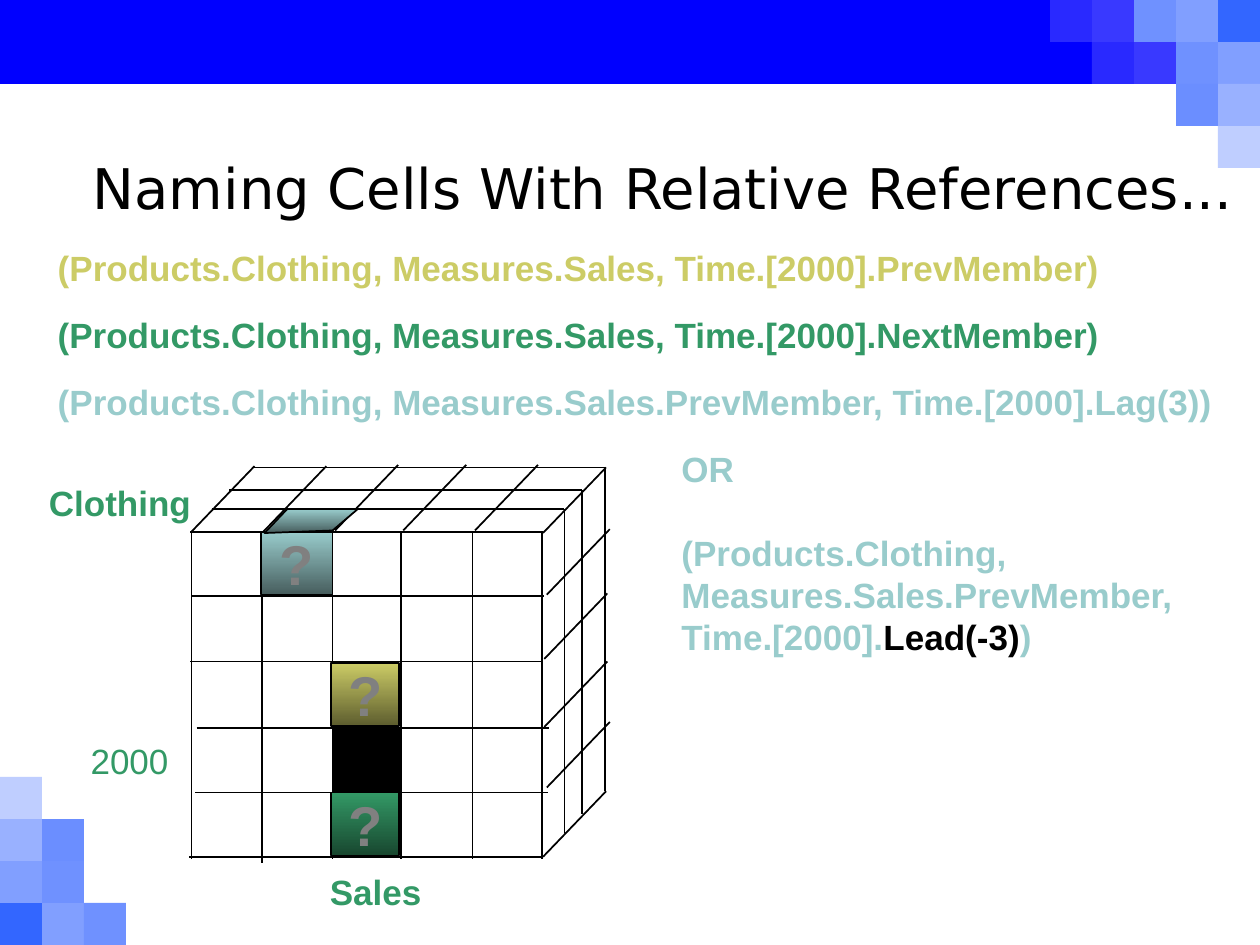
from dataclasses import dataclass

from lxml import etree
from pptx import Presentation
from pptx.dml.color import RGBColor
from pptx.enum.shapes import MSO_CONNECTOR, MSO_SHAPE
from pptx.enum.text import MSO_ANCHOR, MSO_AUTO_SIZE, PP_ALIGN
from pptx.oxml.ns import qn
from pptx.util import Inches, Pt

STRAIGHT = MSO_CONNECTOR.STRAIGHT
RECTANGLE = MSO_SHAPE.RECTANGLE
CENTER = PP_ALIGN.CENTER
MIDDLE = MSO_ANCHOR.MIDDLE
NO_FIT = MSO_AUTO_SIZE.NONE

WIDTH, HEIGHT = 10, 7.5
TILE = WIDTH / 30
TITLE_ONLY = 5


@dataclass(frozen=True)
class Theme:
    black: str = "000000"
    banner: str = "0000FF"
    question: str = "808080"
    green: str = "339966"
    teal: str = "99CCCC"
    olive: str = "CCCC66"
    green_fade: tuple = ("339966", "18472F")
    teal_fade: tuple = ("99CCCC", "475E5E")
    olive_fade: tuple = ("CCCC66", "5E5E2F")
    text_font: str = "Arial"
    title_font: str = "DejaVu Sans"
    text_size: int = 20
    large_size: int = 32
    line_pitch: int = 24


THEME = Theme()

# Corner tiles: columns and rows counted from the corner
CORNER_TILES = [
    (0, 0, "3366FF"), (1, 0, "819FFF"), (2, 0, "6F91FF"),
    (0, 1, "819FFF"), (1, 1, "6F91FF"),
    (0, 2, "99B1FF"), (1, 2, "6B8EFF"), (0, 3, "BFCEFF"),
]
BANNER_TILES = [(3, 0, "3939FF"), (2, 1, "3939FF"),
                (4, 0, "2929FF"), (3, 1, "2929FF")]

# Cube: the ends of its grid lines, in inches
FRONT_WIDTH, FRONT_HEIGHT = 2.8, 2.6
DEPTH_X, DEPTH_Y = 0.5, -0.52
SIDE_HEIGHT = 2.57
COLUMN_TOPS = [(1.52, 4.22), (2.08, 4.25), (2.64, 4.22),
               (3.18, 4.22), (3.75, 4.22), (4.3, 4.22)]
ROW_STARTS = [(1.51, 4.22), (1.52, 4.73), (1.51, 5.25),
              (1.56, 5.78), (1.55, 6.29), (1.5, 6.8)]
TOP_STARTS = [(1.52, 4.22), (2.09, 4.22), (2.66, 4.21),
              (3.2, 4.21), (3.77, 4.21), (4.31, 4.23)]
SIDE_STARTS = [(4.34, 4.72), (4.32, 5.23), (4.32, 5.77),
               (4.34, 6.25), (4.31, 6.8)]
LAYER_CORNERS = [(4.48, 4.04), (4.62, 3.89), (4.8, 3.71)]


def color(value):
    return RGBColor.from_string(value)


def style_font(font, value, size=THEME.text_size, name=THEME.text_font, bold=True):
    font.name, font.size, font.bold = name, Pt(size), bold
    font.color.rgb = color(value)


def paint(shape, fill, outline=None):
    """Fill with one colour, or from top to bottom with a pair of colours."""
    shape.shadow.inherit = False
    if isinstance(fill, tuple):
        shape.fill.gradient()
        shape.fill.gradient_angle = 270
        for stop, value in zip(shape.fill.gradient_stops, fill):
            stop.color.rgb = color(value)
    else:
        shape.fill.solid()
        shape.fill.fore_color.rgb = color(fill)
    if outline:
        shape.line.color.rgb = color(outline)
        shape.line.width = Pt(1)
    else:
        shape.line.fill.background()


def add_rectangle(page, left, top, width, height, fill, outline=None):
    box = page.shapes.add_shape(
        RECTANGLE, Inches(left), Inches(top), Inches(width), Inches(height))
    paint(box, fill, outline)
    return box


def add_line(page, start, run, rise):
    x, y = start
    line = page.shapes.add_connector(
        STRAIGHT, Inches(x), Inches(y), Inches(x + run), Inches(y + rise))
    line.line.color.rgb = color(THEME.black)
    line.line.width = Pt(1)
    etree.SubElement(line._element.spPr, qn("a:effectLst"))


def add_text(page, left, top, width, height, lines, value, bold=True, wrap=True):
    box = page.shapes.add_textbox(
        Inches(left), Inches(top), Inches(width), Inches(height))
    frame = box.text_frame
    frame.word_wrap = wrap
    for index, text in enumerate(lines):
        para = frame.paragraphs[0] if index == 0 else frame.add_paragraph()
        para.line_spacing = Pt(THEME.line_pitch)
        para.add_run().text = text
        style_font(para.font, value, bold=bold)
    return frame


def add_cell(page, left, top, width, fill):
    """One marked cell of the cube, holding a question mark."""
    cell = add_rectangle(page, left, top, width, 0.5, fill, THEME.black)
    frame = cell.text_frame
    frame.word_wrap = False
    frame.vertical_anchor = MIDDLE
    para = frame.paragraphs[0]
    para.text = "?"
    para.alignment = CENTER
    style_font(para.font, THEME.question, THEME.large_size)


def add_decoration(page):
    add_rectangle(page, 0, 0, WIDTH, 2 * TILE, THEME.banner)
    for column, row, fill in CORNER_TILES + BANNER_TILES:
        add_rectangle(page, WIDTH - (column + 1) * TILE, row * TILE, TILE, TILE, fill)
    for column, row, fill in CORNER_TILES:
        add_rectangle(page, column * TILE, HEIGHT - (row + 1) * TILE, TILE, TILE, fill)


def add_title(page, text):
    title = page.shapes.title
    title.left, title.top = Inches(0.17), Inches(1.17)
    title.width, title.height = Inches(10.19), Inches(0.63)
    frame = title.text_frame
    frame.auto_size = NO_FIT
    frame.vertical_anchor = MIDDLE
    frame.margin_left = frame.margin_right = frame.margin_top = frame.margin_bottom = 0
    para = frame.paragraphs[0]
    para.text = text
    para.alignment = CENTER
    style_font(para.font, THEME.black, THEME.large_size, THEME.title_font, False)


def add_cube(page):
    # Top and side faces
    for start in TOP_STARTS + SIDE_STARTS:
        add_line(page, start, DEPTH_X, DEPTH_Y)
    for x, y in LAYER_CORNERS:
        add_line(page, (x - FRONT_WIDTH, y), FRONT_WIDTH, 0)
        add_line(page, (x, y), 0, SIDE_HEIGHT)
    # Front face
    for start in COLUMN_TOPS:
        add_line(page, start, 0, FRONT_HEIGHT)
    for start in ROW_STARTS:
        add_line(page, start, FRONT_WIDTH, 0)
    # Marked cells
    add_rectangle(page, 2.64, 5.79, 0.54, 0.5, THEME.black, THEME.black)
    add_cell(page, 2.63, 5.26, 0.54, THEME.olive_fade)
    add_cell(page, 2.63, 6.29, 0.54, THEME.green_fade)
    add_cell(page, 2.07, 4.22, 0.57, THEME.teal_fade)
    corners = [(Inches(x), Inches(y)) for x, y in
               [(2.1, 4.23), (2.28, 4.04), (2.84, 4.04), (2.64, 4.21)]]
    builder = page.shapes.build_freeform(*corners[0])
    builder.add_line_segments(corners[1:], close=True)
    paint(builder.convert_to_shape(), THEME.teal_fade, THEME.black)
    # Axis labels
    add_text(page, 0.62, 5.82, 0.82, 0.44, ["2000"], THEME.green, bold=False, wrap=False)
    add_text(page, 0.29, 3.77, 1.33, 0.44, ["Clothing"], THEME.green, wrap=False)
    add_text(page, 2.52, 6.86, 0.93, 0.44, ["Sales"], THEME.green, wrap=False)


def add_references(page):
    sales = "(Products.Clothing, Measures.Sales, Time.[2000]."
    add_text(page, 0.36, 1.91, 9.01, 0.44, [sales + "PrevMember)"], THEME.olive)
    add_text(page, 0.36, 2.44, 9.23, 0.44, [sales + "NextMember)"], THEME.green)
    add_text(page, 0.36, 2.97, 9.38, 0.77,
             ["(Products.Clothing, Measures.Sales.PrevMember, Time.[2000].Lag(3))"],
             THEME.teal)
    # Alternative form, with its function picked out in black
    frame = add_text(page, 5.31, 3.5, 4.27, 1.77,
                     ["OR", "(Products.Clothing,", "Measures.Sales.PrevMember,",
                      "Time.[2000]."], THEME.teal)
    frame.paragraphs[1].space_before = Pt(THEME.line_pitch)
    for text, value in [("Lead(-3)", THEME.black), (")", THEME.teal)]:
        span = frame.paragraphs[-1].add_run()
        span.text = text
        span.font.color.rgb = color(value)


def main():
    deck = Presentation()
    deck.slide_width, deck.slide_height = Inches(WIDTH), Inches(HEIGHT)
    page = deck.slides.add_slide(deck.slide_layouts[TITLE_ONLY])
    add_decoration(page)
    add_title(page, "Naming Cells With Relative References...")
    add_cube(page)
    add_references(page)
    deck.save("out.pptx")


if __name__ == "__main__":
    main()
